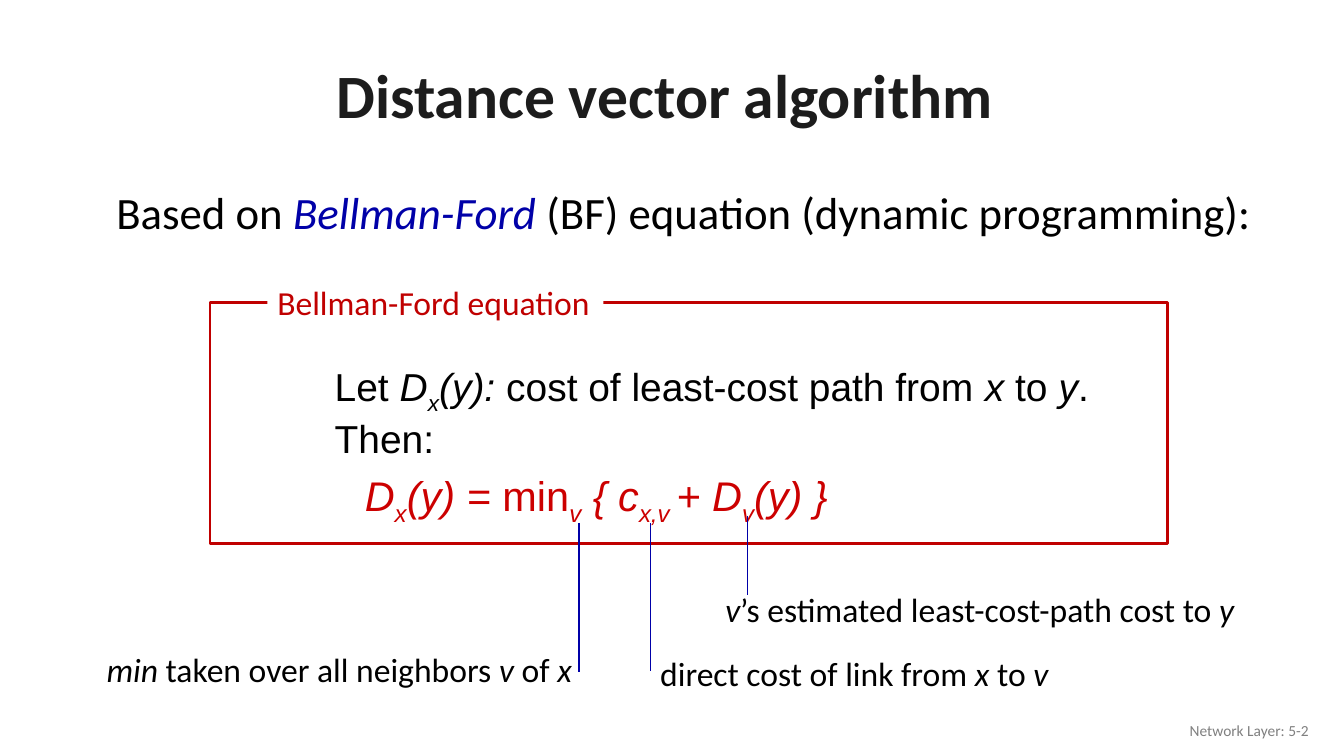
"""Build a slide that explains the Bellman-Ford equation with labelled terms."""
from lxml import etree
from pptx import Presentation
from pptx.dml.color import RGBColor
from pptx.enum.shapes import MSO_CONNECTOR as Connector, MSO_SHAPE as Shape
from pptx.enum.text import MSO_ANCHOR as Anchor, PP_ALIGN as Align
from pptx.oxml.ns import qn
from pptx.util import Pt

BLACK = RGBColor(0x00, 0x00, 0x00)
CHARCOAL = RGBColor(0x1C, 0x1C, 0x1C)
GRAY = RGBColor(0x80, 0x80, 0x80)
WHITE = RGBColor(0xFF, 0xFF, 0xFF)
BLUE = RGBColor(0x00, 0x00, 0xA8)
DARK_RED = RGBColor(0xC0, 0x00, 0x00)
RED = RGBColor(0xCC, 0x00, 0x00)


def add_runs(para, runs, size, color, font="Calibri"):
    """Add (text, style) runs; style i is italic, s is subscript."""
    for text, style in runs:
        span = para.add_run()
        span.text = text
        span.font.name = font
        span.font.size = Pt(size)
        span.font.color.rgb = color
        span.font.italic = "i" in style
        if "s" in style:
            span.font._element.set("baseline", "-25000")


def add_text_box(left, top, width, height, wrap=True):
    """Add an empty text box and return it."""
    box = page.shapes.add_textbox(Pt(left), Pt(top), Pt(width), Pt(height))
    box.text_frame.word_wrap = wrap
    return box


deck = Presentation()
deck.slide_width, deck.slide_height = Pt(960), Pt(540)
page = deck.slides.add_slide(deck.slide_layouts[5])

title = page.shapes.title
title.left, title.top, title.width, title.height = Pt(66), Pt(35.5), Pt(828), Pt(70.5)
title.text_frame.vertical_anchor = Anchor.MIDDLE
para = title.text_frame.paragraphs[0]
para.alignment = Align.CENTER
para.line_spacing = 0.9
add_runs(para, [("Distance vector algorithm ", "")], 44, CHARCOAL)
para.runs[0].font.bold = True

intro = add_text_box(66, 136, 852, 41)
para = intro.text_frame.paragraphs[0]
para.line_spacing = 0.8
para._p.get_or_add_pPr().set("marL", str(Pt(10)))
add_runs(para, [("Based on ", ""), ("Bellman-Ford", "i"),
                (" (BF) equation (dynamic programming):", "")], 32, BLACK)
para.runs[1].font.color.rgb = BLUE

footer = add_text_box(726, 507.5, 216, 29)
footer.text_frame.vertical_anchor = Anchor.MIDDLE
para = footer.text_frame.paragraphs[0]
para.alignment = Align.RIGHT
add_runs(para, [("Network Layer: 5-2", "")], 11, GRAY)

frame = page.shapes.add_shape(Shape.RECTANGLE, Pt(150), Pt(216), Pt(684), Pt(172))
frame.shadow.inherit = False
frame.fill.background()
frame.line.color.rgb = DARK_RED
frame.line.width = Pt(2)

heading = add_text_box(191, 197.5, 240, 36, wrap=False)
heading.fill.solid()
heading.fill.fore_color.rgb = WHITE
add_runs(heading.text_frame.paragraphs[0], [("Bellman-Ford equation", "")], 24, DARK_RED)

equation_lines = [
    (11, 27.8, BLACK, [("Let ", ""), ("D", "i"), ("x", "is"), ("(y): ", "i"),
                       ("cost of least-cost path from ", ""), ("x", "i"),
                       (" to ", ""), ("y", "i"), (".", "")]),
    (11, 27.8, BLACK, [("Then:", "")]),
    (32.5, 29.6, RED, [("D", "i"), ("x", "is"), ("(y) = ", "i"), ("min", ""),
                       ("v", "is"), (" { c", "i"), ("x,v ", "is"), ("+ D", "i"),
                       ("v", "is"), ("(y) }", "i")]),
]
equation = add_text_box(221, 259, 626, 155.5)
for number, (indent, size, color, runs) in enumerate(equation_lines):
    if number == 0:
        para = equation.text_frame.paragraphs[0]
    else:
        para = equation.text_frame.add_paragraph()
        para.space_before = Pt(10)
    para.line_spacing = 0.8
    para._p.get_or_add_pPr().set("marL", str(Pt(indent)))
    add_runs(para, runs, size, color, "Arial")

notes = [
    (69, 460, 350, 413.5, 373.5, 480,
     [("min", "i"), (" taken over all neighbors", ""), (" v ", "i"), ("of ", ""), ("x", "i")]),
    (511, 417, 382, 534, 368.5, 425,
     [("v", "i"), ("’s estimated least-cost-path cost to ", ""), ("y", "i")]),
    (464.5, 463, 294, 464.5, 373.5, 479.5,
     [("direct cost of link from", ""), (" x ", "i"), ("to ", ""), ("v", "i")]),
]
for left, top, width, line_x, line_top, line_bottom, runs in notes:
    note = add_text_box(left, top, width, 36, wrap=False)
    add_runs(note.text_frame.paragraphs[0], runs, 24, BLACK)
    pointer = page.shapes.add_connector(
        Connector.STRAIGHT, Pt(line_x), Pt(line_top), Pt(line_x), Pt(line_bottom))
    pointer.line.color.rgb = BLUE
    pointer.line.width = Pt(1)
    etree.SubElement(pointer._element.spPr, qn("a:effectLst"))

deck.save("out.pptx")
